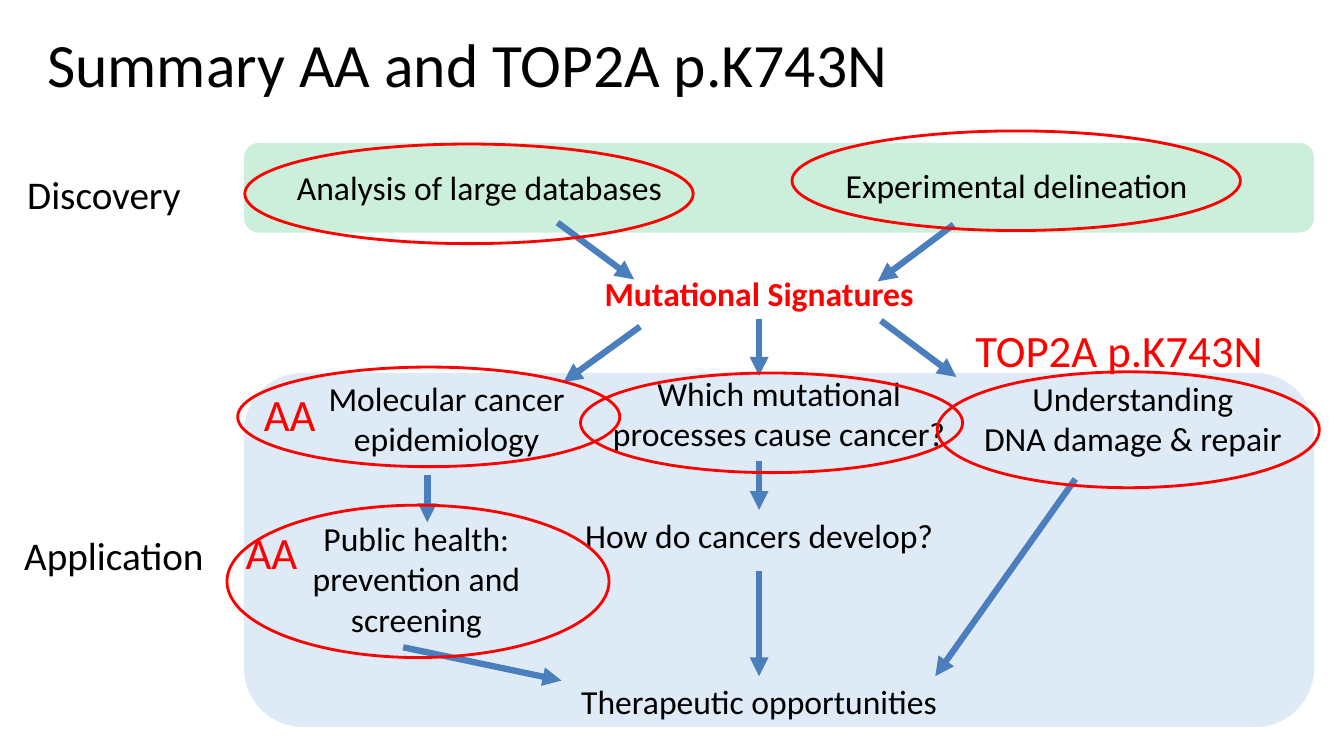
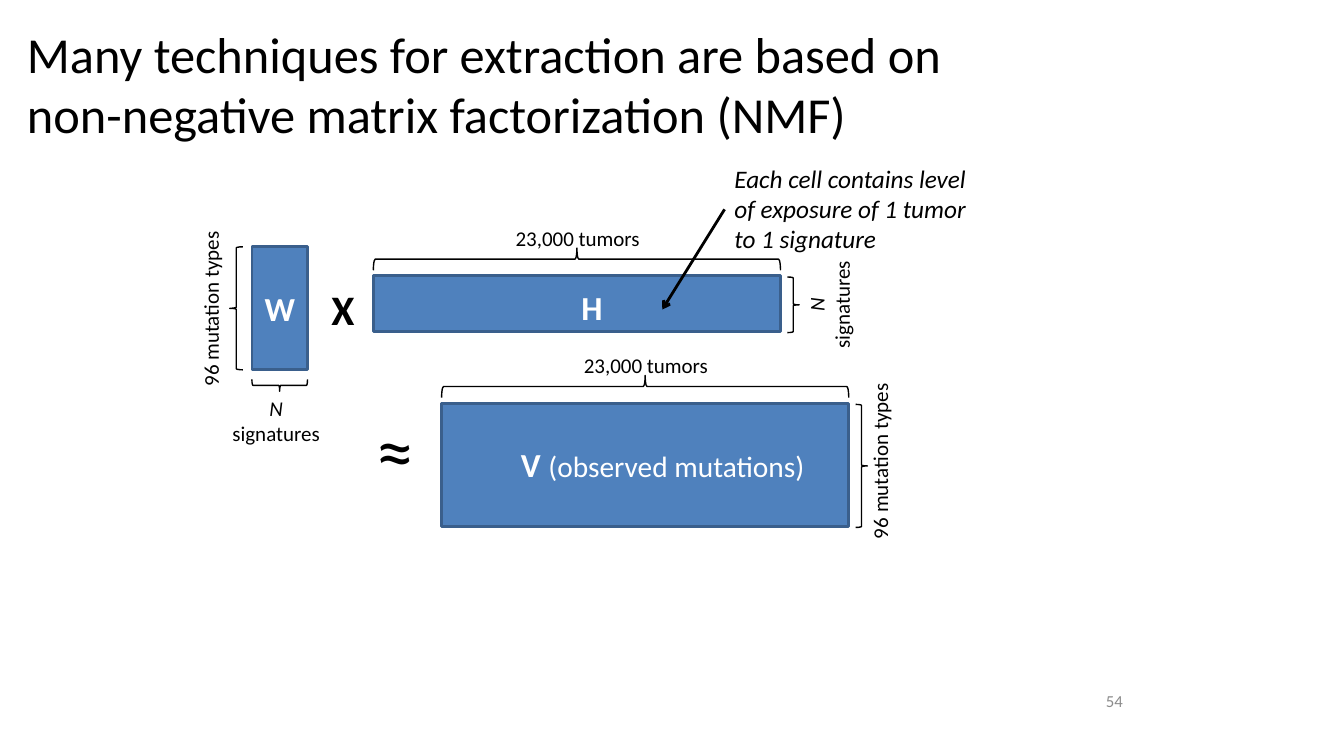
from lxml import etree
from pptx import Presentation
from pptx import util as u
from pptx.dml.color import RGBColor
from pptx.enum import shapes, text
from pptx.oxml.ns import qn

COLORS = {
    "ink": "000000", "accent": "FF0000", "arrow": "4B7EBC",
    "discovery": "00B050", "application": "5B9BD5",
    "matrix": "4F81BD", "edge": "3A5F8C", "white": "FFFFFF", "number": "8C8C8C",
}
FONT = "Calibri"
CENTER = text.PP_ALIGN.CENTER
KIND = shapes.MSO_SHAPE
PAGE = (0, 0)
DISCOVERY = (6.15, 3.6)
APPLICATION = (6.15, 9.4)
SIGNATURES = (14.94, 6.76)
PANEL_WIDTH = 26.97
ROW = 1.27
MATRIX_WIDTH = 10.26


def color(name):
    return RGBColor.from_string(COLORS[name])


def frame(origin, area, rotation=0):
    left, top, width, height = area
    left, top = left + origin[0], top + origin[1]
    if rotation in (90, 270):
        left, top = left + (width - height) / 2, top + (height - width) / 2
        width, height = height, width
    return [u.Cm(length) for length in (left, top, width, height)]


def add_text(page, origin, area, words, size=24, ink="ink", bold=False,
             italic=False, align=CENTER, wrap=True, rotation=0):
    box = page.shapes.add_textbox(*frame(origin, area, rotation))
    box.rotation = rotation
    box.text_frame.word_wrap = wrap
    box.text_frame.text = words
    for para in box.text_frame.paragraphs:
        style_para(para, size, ink, bold, italic, align)
    return box


def style_para(para, size, ink, bold=False, italic=False, align=CENTER):
    para.alignment = align
    para.font.name = FONT
    para.font.size = u.Pt(size)
    para.font.bold = bold
    para.font.italic = italic
    para.font.color.rgb = color(ink)


def add_shape(page, origin, area, kind, fill=None, line=None, weight=2,
              rotation=0, opacity=None):
    shape = page.shapes.add_shape(kind, *frame(origin, area, rotation))
    shape.rotation = rotation
    shape.shadow.inherit = False
    if fill:
        shape.fill.solid()
        shape.fill.fore_color.rgb = color(fill)
    else:
        shape.fill.background()
    if line:
        shape.line.color.rgb = color(line)
        shape.line.width = u.Pt(weight)
    else:
        shape.line.fill.background()
    if opacity:
        tone = shape.fill._xPr.find(qn("a:solidFill"))[0]
        etree.SubElement(tone, qn("a:alpha"), val=str(opacity * 1000))
    return shape


def add_arrow(page, origin, start, end, ink="arrow", weight=4.5, head="triangle",
              source=None, target=None):
    ends = [u.Cm(point[axis] + origin[axis]) for point in (start, end) for axis in (0, 1)]
    arrow = page.shapes.add_connector(shapes.MSO_CONNECTOR.STRAIGHT, *ends)
    arrow.line.color.rgb = color(ink)
    arrow.line.width = u.Pt(weight)
    etree.SubElement(arrow.line._get_or_add_ln(), qn("a:tailEnd"), type=head)
    etree.SubElement(arrow._element.spPr, qn("a:effectLst"))
    if source:
        arrow.begin_connect(*source)
    if target:
        arrow.end_connect(*target)


def add_ellipses(page, origin, areas):
    for area in areas:
        add_shape(page, origin, area, KIND.OVAL, line="accent")


def add_brace(page, origin, area, rotation=0):
    add_shape(page, origin, area, KIND.LEFT_BRACE, line="ink", weight=1, rotation=rotation)


def add_title(page, area, words, size):
    box = add_text(page, PAGE, area, words, size, align=text.PP_ALIGN.LEFT)
    box.text_frame.vertical_anchor = text.MSO_ANCHOR.MIDDLE


def add_panel(page, origin, height, fill):
    add_shape(page, origin, (0, 0, PANEL_WIDTH, height), KIND.ROUNDED_RECTANGLE,
              fill=fill, opacity=20)


def draw_signatures(page, origin):
    box = add_text(page, origin, (0, 0, 8.38, ROW), "Mutational Signatures",
                   ink="accent", bold=True, wrap=False)
    add_arrow(page, origin, (4.19, ROW), (4.19, 2.71), source=(box, 2))
    add_arrow(page, origin, (1.19, 1.47), (-0.74, 2.87))
    add_arrow(page, origin, (7.26, 1.32), (9.16, 2.74))


def draw_discovery(page, origin):
    add_text(page, origin, (-5.74, 0.57, 4.42, 1.45), "Discovery", 28, wrap=False)
    add_text(page, origin, (0.28, 0.49, 11.3, ROW), "Analysis of large databases")
    add_text(page, origin, (13.97, 0.44, 11, ROW), "Experimental delineation")
    add_arrow(page, origin, (7.9, 2.01), (9.83, 3.44))
    add_arrow(page, origin, (17.88, 2.06), (15.97, 3.49))
    add_ellipses(page, origin, [(0.02, 0.03, 11.3, 2.51), (13.81, -0.3, 11.3, 2.51)])


def draw_application(page, origin):
    middle = 12.98
    add_text(page, origin, (-5.82, 3.86, 5.08, 1.45), "Application", 28, wrap=False)
    for area, words in [
        ((0.76, 0, 8.69, 2.31), "Molecular cancer epidemiology"),
        ((8.89, -0.13, 9.19, 2.31), "Which mutational processes cause cancer?"),
        ((17.88, 0, 9.04, 2.31), "Understanding\nDNA damage & repair"),
        ((0, 3.53, 8.69, 3.33), "Public health: prevention and screening"),
    ]:
        add_text(page, origin, area, words)
    develop = add_text(page, origin, (8.15, 3.45, 9.66, ROW), "How do cancers develop?")
    therapy = add_text(page, origin, (6.32, 7.64, 13.32, ROW), "Therapeutic opportunities")
    add_arrow(page, origin, (middle, 2.21), (middle, 3.45), target=(develop, 0))
    add_arrow(page, origin, (middle, 5), (middle, 7.64), target=(therapy, 0))
    add_arrow(page, origin, (4.62, 2.56), (4.62, 3.76))
    add_arrow(page, origin, (20.95, 2.67), (17.42, 7.64))
    add_arrow(page, origin, (4.01, 6.91), (8, 7.75))
    add_ellipses(page, origin, [
        (-0.16, -0.15, 9.63, 2.51), (8.48, 0, 9.63, 2.51),
        (17.47, -0.03, 9.63, 2.92), (-0.43, 3.33, 9.63, 3.84),
    ])
    for area, words in [
        ((0.25, 0.23, 1.93, 1.63), "AA"),
        ((-0.21, 3.71, 1.93, 1.63), "AA"),
        ((18.18, -1.4, 9.12, 1.63), "TOP2A p.K743N"),
    ]:
        add_text(page, origin, area, words, 32, "accent", align=text.PP_ALIGN.LEFT)


def add_matrix(page, origin, width, height):
    return add_shape(page, origin, (0, 0, width, height), KIND.RECTANGLE, "matrix", "edge")


def add_signature_count(page, origin, area, rotation=0):
    box = add_text(page, origin, area, "N\nsignatures", 15, wrap=False, rotation=rotation)
    box.text_frame.paragraphs[0].font.italic = True


def add_mutation_types(page, origin, area):
    add_text(page, origin, area, "96 mutation types", 15, wrap=False, rotation=270)


def draw_signature_matrix(page, origin):
    width, height = 1.4, 3.1
    matrix = add_matrix(page, origin, width, height)
    matrix.text_frame.text = "W"
    matrix.text_frame.vertical_anchor = text.MSO_ANCHOR.MIDDLE
    style_para(matrix.text_frame.paragraphs[0], 24, "white", bold=True)
    add_brace(page, origin, (-0.56, 0, 0.33, height))
    add_brace(page, origin, (0, 3.34, width, 0.3), 270)
    add_signature_count(page, origin, (-0.76, 3.61, 2.74, 1.55))
    add_mutation_types(page, origin, (-1.49, -0.67, 0.89, 4.47))


def draw_tumor_matrix(page, origin, height, caption_area, caption):
    add_matrix(page, origin, MATRIX_WIDTH, height)
    add_shape(page, origin, (0, -0.7, MATRIX_WIDTH, 0.56), KIND.RIGHT_BRACE,
              line="ink", weight=1, rotation=270)
    add_brace(page, origin, (10.43, 0.03, 0.3, height), 180)
    add_text(page, origin, (3.31, -1.4, 3.68, 0.89), "23,000 tumors", 15, wrap=False)
    return add_text(page, origin, caption_area, caption, ink="white", bold=True,
                    align=text.PP_ALIGN.LEFT, wrap=False)


def draw_exposure_matrix(page, origin):
    draw_tumor_matrix(page, origin, 1.4, (4.99, 0.16, 1.04, ROW), "H")
    add_signature_count(page, origin, (10.72, -0.64, 1.55, 2.74), 270)


def draw_observed_matrix(page, origin):
    box = draw_tumor_matrix(page, origin, 3.1, (1.75, 0.91, 7.75, ROW), "V ")
    span = box.text_frame.paragraphs[0].add_run()
    span.text = "(observed mutations)"
    span.font.size = u.Pt(21)
    span.font.bold = False
    add_mutation_types(page, origin, (10.6, -0.77, 0.89, 4.47))


def draw_callout(page, origin):
    box = add_text(page, origin, (0, 0, 6.91, 2.57),
                   "Each cell contains level of exposure of 1 tumor to 1 signature",
                   18, italic=True, align=text.PP_ALIGN.LEFT)
    add_arrow(page, origin, (0, 1.29), (-1.57, 3.81), "ink", 2, "arrow", source=(box, 1))


def draw_summary(page):
    add_panel(page, APPLICATION, 8.92, "application")
    add_panel(page, DISCOVERY, 2.26, "discovery")
    add_title(page, (0.94, 0.2, 30.48, 2.77), "Summary AA and TOP2A p.K743N", 44)
    draw_signatures(page, SIGNATURES)
    draw_discovery(page, DISCOVERY)
    draw_application(page, APPLICATION)


def draw_factorization(page):
    add_title(page, (0.43, 0.2, 28.58, 3.81),
              "Many techniques for extraction are based on\v"
              "non-negative matrix factorization (NMF)", 36)
    draw_signature_matrix(page, (6.35, 6.22))
    draw_exposure_matrix(page, (9.41, 6.95))
    draw_observed_matrix(page, (11.13, 10.16))
    draw_callout(page, (18.26, 3.99))
    add_text(page, PAGE, (8.1, 7.01, 1.09, 1.55), "X", 30, bold=True, wrap=False)
    add_text(page, PAGE, (9.22, 10.03, 1.47, 2.57), "≈", 54, wrap=False)
    number = add_text(page, PAGE, (22.63, 17.27, 5.92, 0.76), "54", 12, "number",
                      align=text.PP_ALIGN.RIGHT)
    number.text_frame.vertical_anchor = text.MSO_ANCHOR.MIDDLE


def main():
    deck = Presentation()
    deck.slide_width, deck.slide_height = u.Cm(33.87), u.Cm(19.05)
    for draw in (draw_summary, draw_factorization):
        draw(deck.slides.add_slide(deck.slide_layouts[6]))
    deck.save("out.pptx")


if __name__ == "__main__":
    main()
